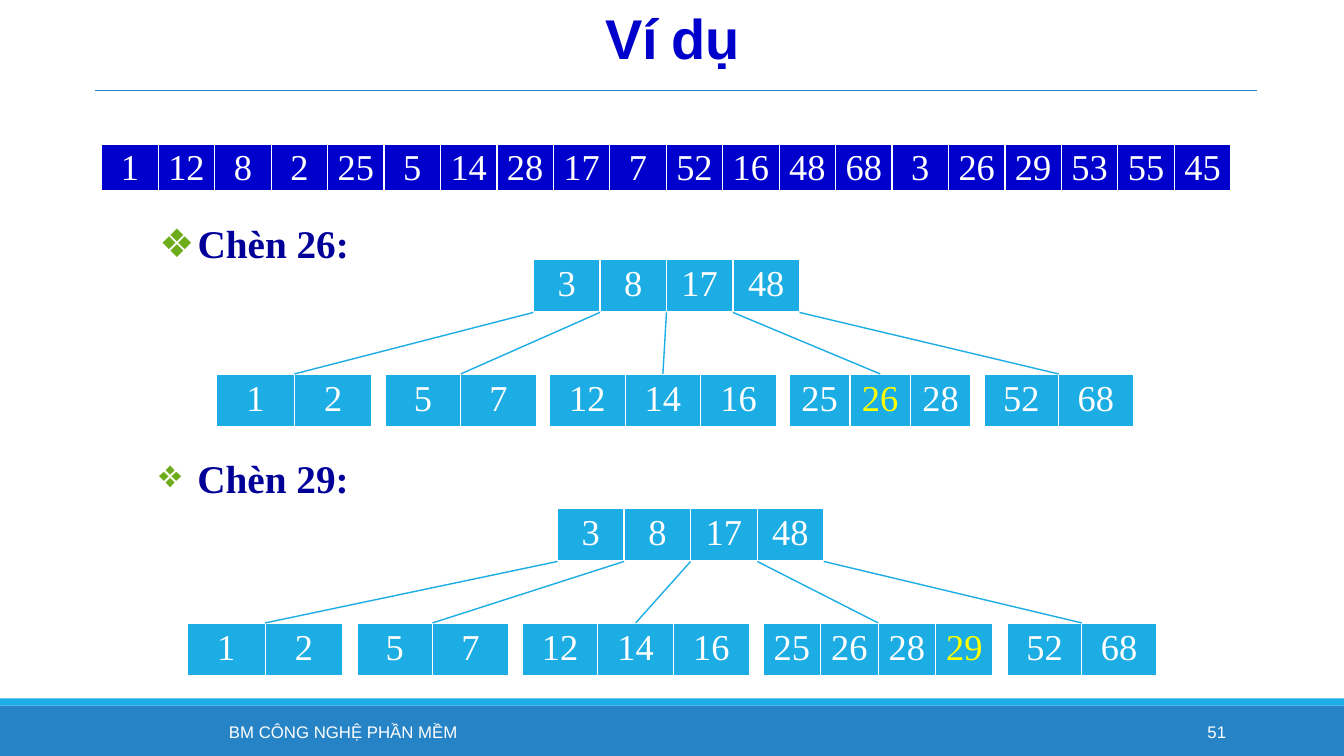
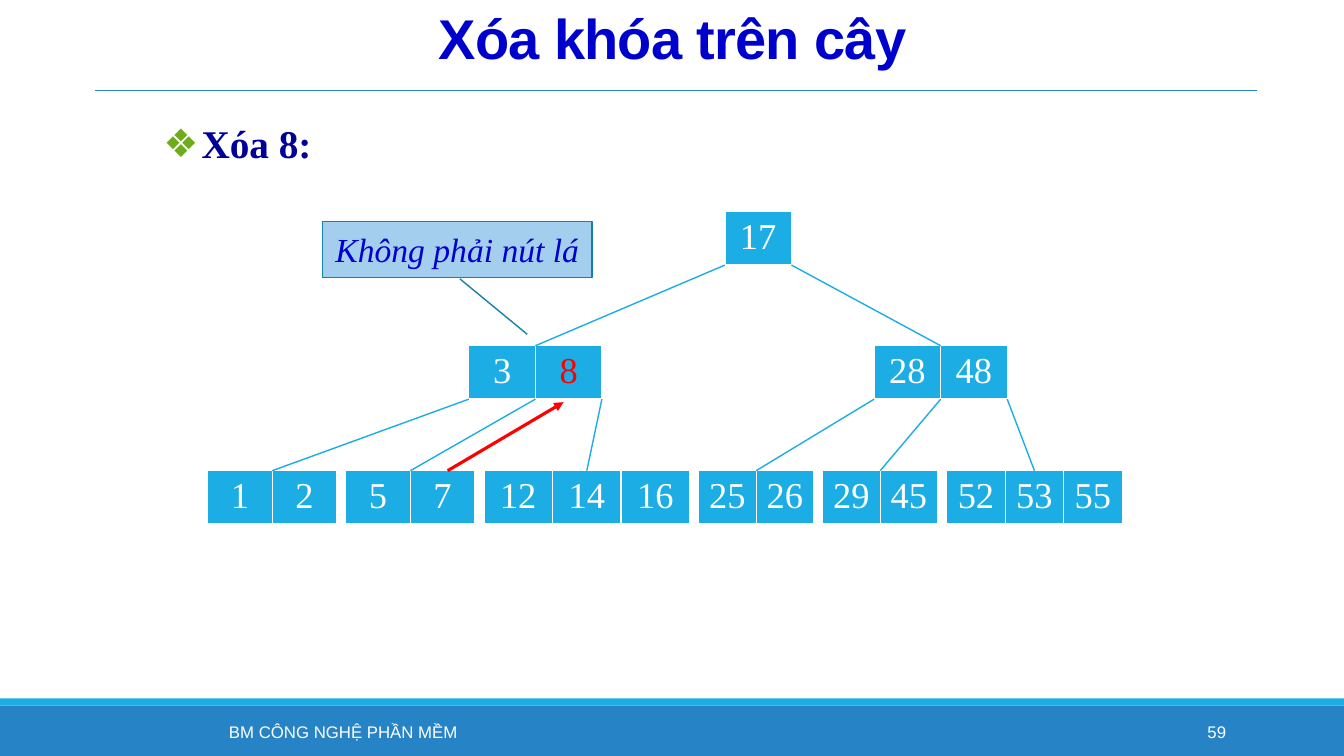
"""Build two slides about inserting and deleting keys in a B-tree."""
from lxml.etree import SubElement
from pptx import Presentation
from pptx.dml.color import RGBColor
from pptx.enum.shapes import MSO_CONNECTOR, MSO_SHAPE
from pptx.enum.text import MSO_ANCHOR, MSO_AUTO_SIZE, PP_ALIGN
from pptx.oxml import parse_xml
from pptx.oxml.ns import nsdecls, qn
from pptx.util import Inches, Pt

WHITE = RGBColor(0xFF, 0xFF, 0xFF)
YELLOW = RGBColor(0xFF, 0xFF, 0x00)
RED = RGBColor(0xFF, 0x00, 0x00)
GREEN = RGBColor(0x6E, 0xAC, 0x1C)
SKY = RGBColor(0x1C, 0xAD, 0xE4)
BLUE = RGBColor(0x26, 0x83, 0xC6)
PALE = RGBColor(0xA3, 0xCE, 0xED)
TEAL = RGBColor(0x15, 0x80, 0xA9)
ROYAL = RGBColor(0x00, 0x00, 0xCC)
NAVY = RGBColor(0x00, 0x00, 0x99)
SANS, SERIF = "Arial", "Times New Roman"

FOOTER = "BM CÔNG NGHỆ PHẦN MỀM"
NODE_HEIGHT = 0.53
BORDERS = (("lnL", 1), ("lnR", 1), ("lnT", 1), ("lnB", 3))
BANDS = ((7, 0.5, BLUE), (6.93, 0.07, SKY))

INPUT_KEYS = (1, 12, 8, 2, 25, 5, 14, 28, 17, 7, 52, 16, 48, 68, 3, 26, 29, 53, 55, 45)

# Each level is (left, top, gap, nodes) and each node is (keys, key width).
ROOT = ((3, 8, 17, 48), 0.66)
LOW_LEAVES = [((1, 2), 0.77), ((5, 7), 0.75), ((12, 14, 16), 0.75)]
LAST_LEAF = ((52, 68), 0.74)
INSERT_26 = [
    (5.29, 2.57, 0, [ROOT]),
    (2.15, 3.71, 0.13, LOW_LEAVES + [((25, 26, 28), 0.6), LAST_LEAF]),
]
INSERT_29 = [
    (5.53, 5.04, 0, [ROOT]),
    (1.86, 6.18, 0.14, LOW_LEAVES + [((25, 26, 28, 29), 0.57), LAST_LEAF]),
]
DELETE_8 = [
    (7.19, 2.1, 0, [((17,), 0.66)]),
    (4.65, 3.43, 2.7, [((3, 8), 0.66), ((28, 48), 0.66)]),
    (2.06, 4.67, 0.09, [
        ((1, 2), 0.64), ((5, 7), 0.64), ((12, 14, 16), 0.68),
        ((25, 26), 0.57), ((29, 45), 0.57), ((52, 53, 55), 0.58),
    ]),
]


def write_text(frame, text, font=SERIF, size=26, color=WHITE, bold=False, italic=False,
               align=PP_ALIGN.CENTER, anchor=MSO_ANCHOR.TOP, line_spacing=None,
               tracking=None, bullet=False):
    """Put one formatted paragraph into a text frame."""
    frame.word_wrap = True
    frame.vertical_anchor = anchor
    para = frame.paragraphs[0]
    para.alignment = align
    para.space_before = Pt(0)
    if line_spacing:
        para.line_spacing = line_spacing
    span = para.add_run()
    span.text = text
    span.font.name, span.font.size, span.font.color.rgb = font, Pt(size), color
    span.font.bold, span.font.italic = bold, italic
    if tracking:
        span.font._element.set("spc", str(int(tracking * 100)))
    if bullet:
        properties = para._p.get_or_add_pPr()
        properties.set("marL", str(Inches(0.38)))
        properties.set("indent", str(-Inches(0.38)))
        tint = SubElement(properties, qn("a:buClr"))
        SubElement(tint, qn("a:srgbClr")).set("val", str(GREEN))
        SubElement(properties, qn("a:buChar")).set("char", "❖")


def add_line(page, start, end, color=SKY, width=1, arrow=False):
    """Draw a straight line between two points given in inches."""
    line = page.shapes.add_connector(
        MSO_CONNECTOR.STRAIGHT, *(Inches(value) for value in (*start, *end)))
    line.line.color.rgb = color
    line.line.width = Pt(width)
    if arrow:
        SubElement(line.line._get_or_add_ln(), qn("a:tailEnd")).set("type", "triangle")
    SubElement(line._element.spPr, qn("a:effectLst"))
    return line


def add_keys(page, keys, left, top, key_width, height=NODE_HEIGHT, fill=SKY,
             marks=None, anchor=MSO_ANCHOR.TOP):
    """Draw a row of keys as a one-row table."""
    frame = page.shapes.add_table(
        1, len(keys), Inches(left), Inches(top),
        Inches(key_width * len(keys)), Inches(height))
    table = frame.table
    table.first_row = table.horz_banding = False
    for column, key in enumerate(keys):
        table.columns[column].width = Inches(key_width)
        cell = table.cell(0, column)
        cell.margin_left = cell.margin_right = Inches(0.06)
        if anchor == MSO_ANCHOR.MIDDLE:
            cell.margin_top = cell.margin_bottom = 0
        cell.fill.solid()
        cell.fill.fore_color.rgb = fill
        write_text(cell.text_frame, str(key), color=(marks or {}).get(key, WHITE))
        cell.vertical_anchor = anchor
        for position, (side, points) in enumerate(BORDERS):
            cell._tc.get_or_add_tcPr().insert(position, parse_xml(
                f'<a:{side} {nsdecls("a")} w="{Pt(points)}"><a:solidFill>'
                f'<a:srgbClr val="{WHITE}"/></a:solidFill></a:{side}>'))
    return frame


def add_tree(page, levels, marks):
    """Draw the levels, joining every gap between parent keys to the next child."""
    gaps = iter(())
    for left, top, gap, nodes in levels:
        next_gaps = []
        for keys, key_width in nodes:
            node = add_keys(page, keys, left, top, key_width, marks=marks)
            middle = left + key_width * len(keys) / 2
            start = next(gaps, None)
            if start:
                add_line(page, start, (middle, top)).end_connect(node, 0)
            next_gaps += [(left + key_width * index, top + NODE_HEIGHT)
                          for index in range(len(keys) + 1)]
            left += key_width * len(keys) + gap
        gaps = iter(next_gaps)


def place(shape, left, top, width, height):
    """Move and size a shape in inches."""
    shape.left, shape.top = Inches(left), Inches(top)
    shape.width, shape.height = Inches(width), Inches(height)


def add_text_box(page, left, top, width, height, text, **style):
    """Add a text box holding one paragraph."""
    box = page.shapes.add_textbox(*(Inches(v) for v in (left, top, width, height)))
    write_text(box.text_frame, text, **style)


def decorate_layout(layout, page):
    """Place the bands and the title rule on the layout."""
    parts = []
    for top, height, color in BANDS:
        band = page.shapes.add_shape(
            MSO_SHAPE.RECTANGLE, 0, Inches(top), Inches(13.33), Inches(height))
        band.shadow.inherit = False
        band.fill.solid()
        band.fill.fore_color.rgb = color
        band.line.fill.background()
        parts.append(band)
    parts.append(add_line(page, (0.94, 0.9), (12.47, 0.9), BLUE, 0.5))
    for part in parts:
        layout.shapes._spTree.append(part._element)
    place(layout.placeholders[0], 0.85, 0.04, 11.64, 0.77)


HEADING = dict(size=28, color=NAVY, bold=True, align=PP_ALIGN.JUSTIFY, bullet=True)


def add_page(deck, title, number, heading, left, top):
    """Add a page with its title, first heading and footer."""
    page = deck.slides.add_slide(deck.slide_layouts[1])
    write_text(page.shapes.title.text_frame, title, font=SANS, size=40, color=ROYAL,
               bold=True, anchor=MSO_ANCHOR.MIDDLE, line_spacing=0.85, tracking=-0.5)
    body = page.placeholders[1]
    place(body, left, top, 10.38, NODE_HEIGHT)
    write_text(body.text_frame, heading, line_spacing=0.9, **HEADING)
    for shape in (page.shapes.title, body):
        shape.text_frame.auto_size = MSO_AUTO_SIZE.NONE
    small = dict(font=SANS, size=12, anchor=MSO_ANCHOR.MIDDLE)
    add_text_box(page, 1.2, 7.06, 4.41, 0.4, FOOTER, **small)
    add_text_box(page, 10.83, 7.06, 1.43, 0.4, number, align=PP_ALIGN.RIGHT, **small)
    return page


def add_callout(page, text):
    """Add the callout that points at the inner node."""
    callout = page.shapes.add_shape(
        MSO_SHAPE.LINE_CALLOUT_1, Inches(3.2), Inches(2.2), Inches(2.67), Inches(0.55))
    for index, value in enumerate((1.03, 0.51, 2.03, 0.76)):
        callout.adjustments[index] = value
    callout.shadow.inherit = False
    callout.fill.solid()
    callout.fill.fore_color.rgb = PALE
    callout.line.color.rgb = TEAL
    callout.line.width = Pt(1)
    write_text(callout.text_frame, text, size=24, color=ROYAL, italic=True,
               anchor=MSO_ANCHOR.MIDDLE)


def main():
    """Build and save the deck."""
    deck = Presentation()
    deck.slide_width, deck.slide_height = Inches(13.33), Inches(7.5)

    example = add_page(deck, "Ví dụ", "51", "Chèn 26:", 1.48, 2.18)
    decorate_layout(deck.slide_layouts[1], example)
    add_tree(example, INSERT_26, {26: YELLOW})
    add_text_box(example, 1.48, 4.46, 10.38, 0.57, "Chèn 29:", **HEADING)
    add_tree(example, INSERT_29, {29: YELLOW})
    add_keys(example, INPUT_KEYS, 1.01, 1.43, 0.56, height=0.47, fill=ROYAL,
             anchor=MSO_ANCHOR.MIDDLE)

    deletion = add_page(deck, "Xóa khóa trên cây", "59", "Xóa 8:", 1.52, 1.19)
    add_tree(deletion, DELETE_8, {8: RED})
    add_callout(deletion, "Không phải nút lá")
    add_line(deletion, (4.44, 4.67), (5.59, 3.99), RED, 2.25, arrow=True)

    deck.save("out.pptx")


if __name__ == "__main__":
    main()
